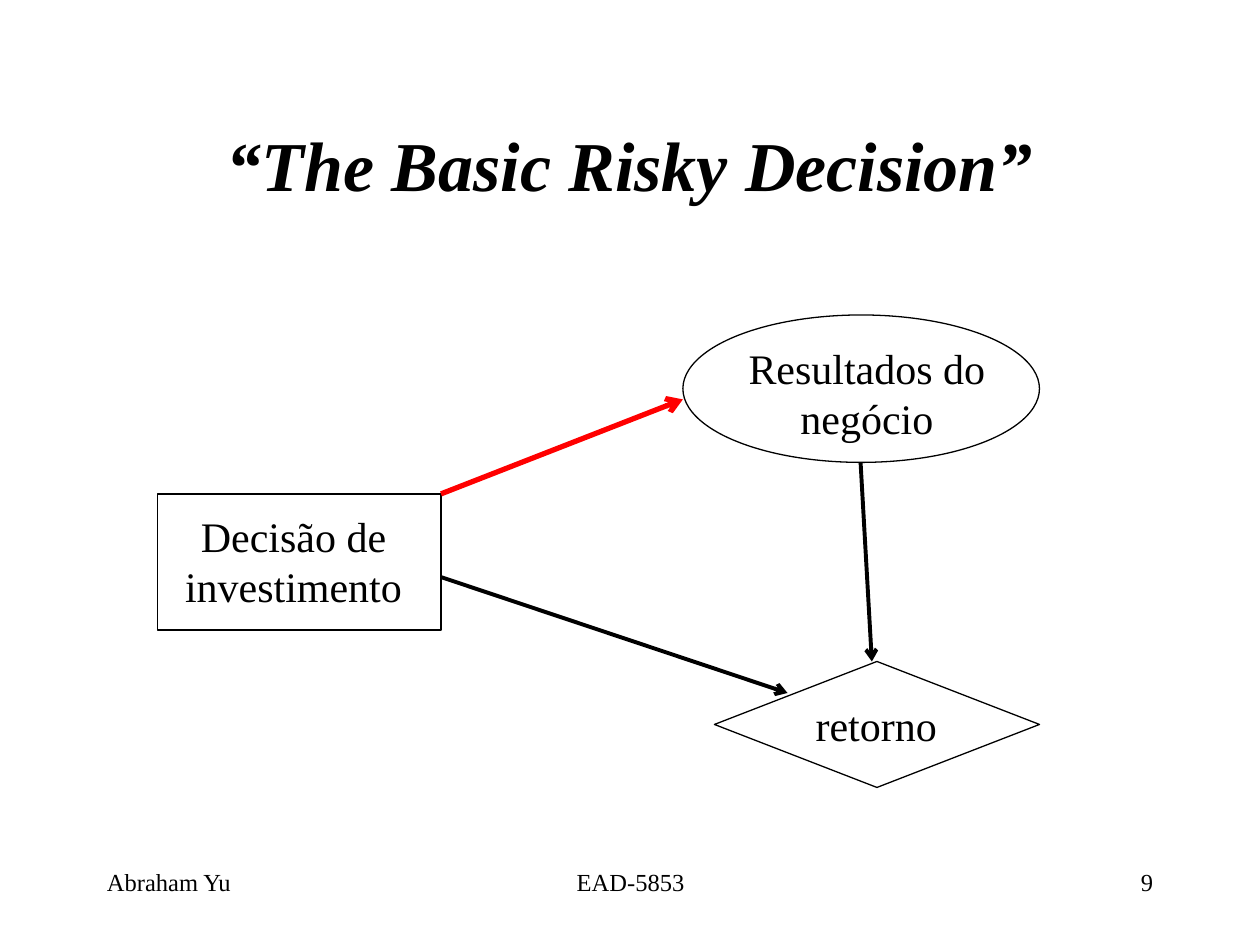
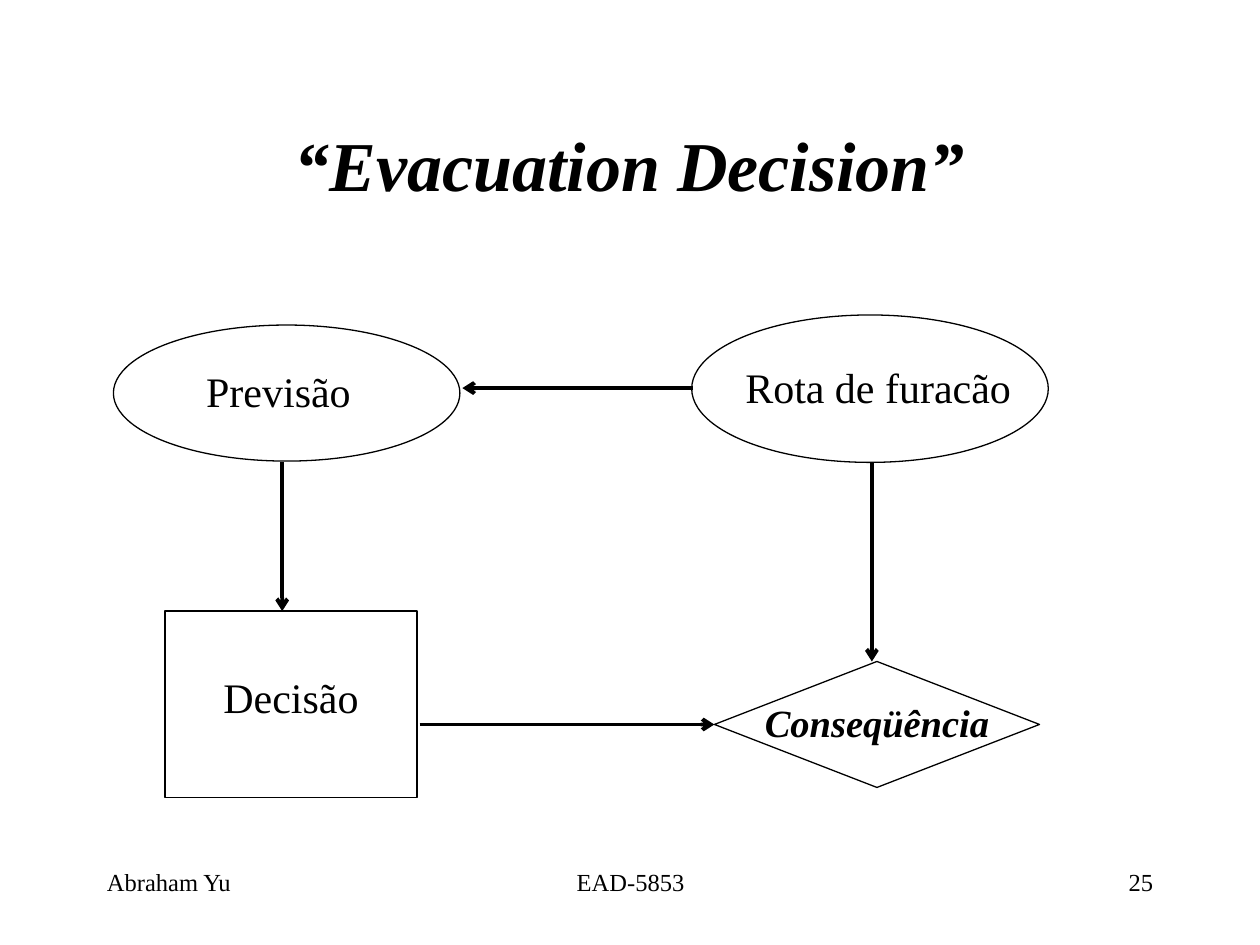
"""Builds two influence-diagram slides on risky decisions."""
from lxml import etree
from pptx import Presentation
from pptx.dml.color import RGBColor
from pptx.enum.shapes import MSO_CONNECTOR, MSO_SHAPE
from pptx.enum.text import MSO_ANCHOR, MSO_AUTO_SIZE, PP_ALIGN
from pptx.oxml.ns import qn
from pptx.util import Inches, Pt

BLACK = RGBColor(0x00, 0x00, 0x00)
RED = RGBColor(0xFF, 0x00, 0x00)
FONT = "Times New Roman"
LEFT, CENTER, RIGHT = PP_ALIGN.LEFT, PP_ALIGN.CENTER, PP_ALIGN.RIGHT
TOP, MIDDLE = MSO_ANCHOR.TOP, MSO_ANCHOR.MIDDLE
STRAIGHT = MSO_CONNECTOR.STRAIGHT
NO_AUTOFIT = MSO_AUTO_SIZE.NONE
DECISION = MSO_SHAPE.RECTANGLE
CHANCE = MSO_SHAPE.OVAL
PAYOFF = MSO_SHAPE.FLOWCHART_DECISION

TITLE_BOX = (0.75, 0.67, 8.5, 1.25)
FOOTER_TOP, FOOTER_HEIGHT = 6.83, 0.5
AUTHOR, COURSE = "Abraham Yu", "EAD-5853"
NODE_SIZE = 24
PAYOFF_BOX = (5.67, 5.25, 2.58, 1)

DIAGRAMS = [
    {
        "title": "“The Basic Risky Decision”",
        "number": "9",
        "nodes": [
            (DECISION, (1.25, 3.92, 2.25, 1.08), 0.75),
            (CHANCE, (5.42, 2.5, 2.83, 1.17), 0.75),
            (PAYOFF, PAYOFF_BOX, 0.75),
        ],
        "labels": [
            ("Decisão de investimento", (1.33, 4, 2, 0.9), NODE_SIZE, False),
            ("Resultados do negócio", (5.67, 2.67, 2.42, 0.9), NODE_SIZE, False),
            ("retorno", (6.08, 5.5, 1.75, 0.5), NODE_SIZE, False),
        ],
        "arrows": [
            ((3.5, 4.58), (6.25, 5.5), BLACK, 2.25),
            ((6.83, 3.67), (6.92, 5.25), BLACK, 2.25),
            ((3.5, 3.92), (5.42, 3.17), RED, 3),
        ],
    },
    {
        "title": "“Evacuation Decision”",
        "number": "25",
        "nodes": [
            (DECISION, (1.31, 4.85, 2, 1.48), 1),
            (CHANCE, (5.49, 2.5, 2.83, 1.17), 0.75),
            (PAYOFF, PAYOFF_BOX, 0.75),
            (CHANCE, (0.9, 2.58, 2.75, 1.08), 0.75),
        ],
        "labels": [
            ("Decisão", (1.31, 5.28, 2, 0.5), NODE_SIZE, False),
            ("Rota de furacão", (5.76, 2.82, 2.42, 0.5), NODE_SIZE, False),
            ("Conseqüência", (5.92, 5.5, 2.08, 0.47), 22, True),
            ("Previsão", (1.17, 2.85, 2.08, 0.5), NODE_SIZE, False),
        ],
        "arrows": [
            ((3.33, 5.75), (5.67, 5.75), BLACK, 2.25),
            ((6.92, 3.67), (6.92, 5.25), BLACK, 2.25),
            ((5.5, 3.08), (3.67, 3.08), BLACK, 2.25),
            ((2.24, 3.67), (2.24, 4.85), BLACK, 2.25),
        ],
    },
]


def inches(values):
    return [Inches(value) for value in values]


def write(holder, text, size, align=CENTER, emphasis=False, anchor=TOP):
    frame = holder.text_frame
    frame.text = text
    frame.word_wrap = True
    frame.auto_size = NO_AUTOFIT
    frame.vertical_anchor = anchor
    paragraph = frame.paragraphs[0]
    paragraph.alignment = align
    font = paragraph.runs[0].font
    font.name = FONT
    font.size = Pt(size)
    font.color.rgb = BLACK
    font.bold = font.italic = emphasis


def add_title(slide, text):
    title = slide.shapes.title
    title.left, title.top, title.width, title.height = inches(TITLE_BOX)
    write(title, text, 40, emphasis=True, anchor=MIDDLE)


def add_label(slide, text, box, size, emphasis=False, align=CENTER):
    label = slide.shapes.add_textbox(*inches(box))
    write(label, text, size, align, emphasis)


def add_footer(slide, number):
    parts = [
        (AUTHOR, 0.75, 2.08, LEFT),
        (COURSE, 3.42, 3.17, CENTER),
        (number, 7.17, 2.08, RIGHT),
    ]
    for text, left, width, align in parts:
        box = (left, FOOTER_TOP, width, FOOTER_HEIGHT)
        add_label(slide, text, box, 14, align=align)


def add_node(slide, kind, box, weight):
    node = slide.shapes.add_shape(kind, *inches(box))
    node.shadow.inherit = False
    node.fill.background()
    node.line.color.rgb = BLACK
    node.line.width = Pt(weight)


def add_arrow(slide, start, end, color, weight):
    arrow = slide.shapes.add_connector(STRAIGHT, *inches(start + end))
    arrow.line.color.rgb = color
    arrow.line.width = Pt(weight)
    outline = arrow.line._get_or_add_ln()
    etree.SubElement(outline, qn("a:tailEnd"), type="arrow")
    etree.SubElement(arrow._element.spPr, qn("a:effectLst"))


def main():
    deck = Presentation()
    deck.slide_width, deck.slide_height = Inches(10), Inches(7.5)
    title_only = deck.slide_layouts[5]
    for diagram in DIAGRAMS:
        slide = deck.slides.add_slide(title_only)
        add_title(slide, diagram["title"])
        add_footer(slide, diagram["number"])
        for node in diagram["nodes"]:
            add_node(slide, *node)
        for label in diagram["labels"]:
            add_label(slide, *label)
        for arrow in diagram["arrows"]:
            add_arrow(slide, *arrow)
    deck.save("out.pptx")


if __name__ == "__main__":
    main()
